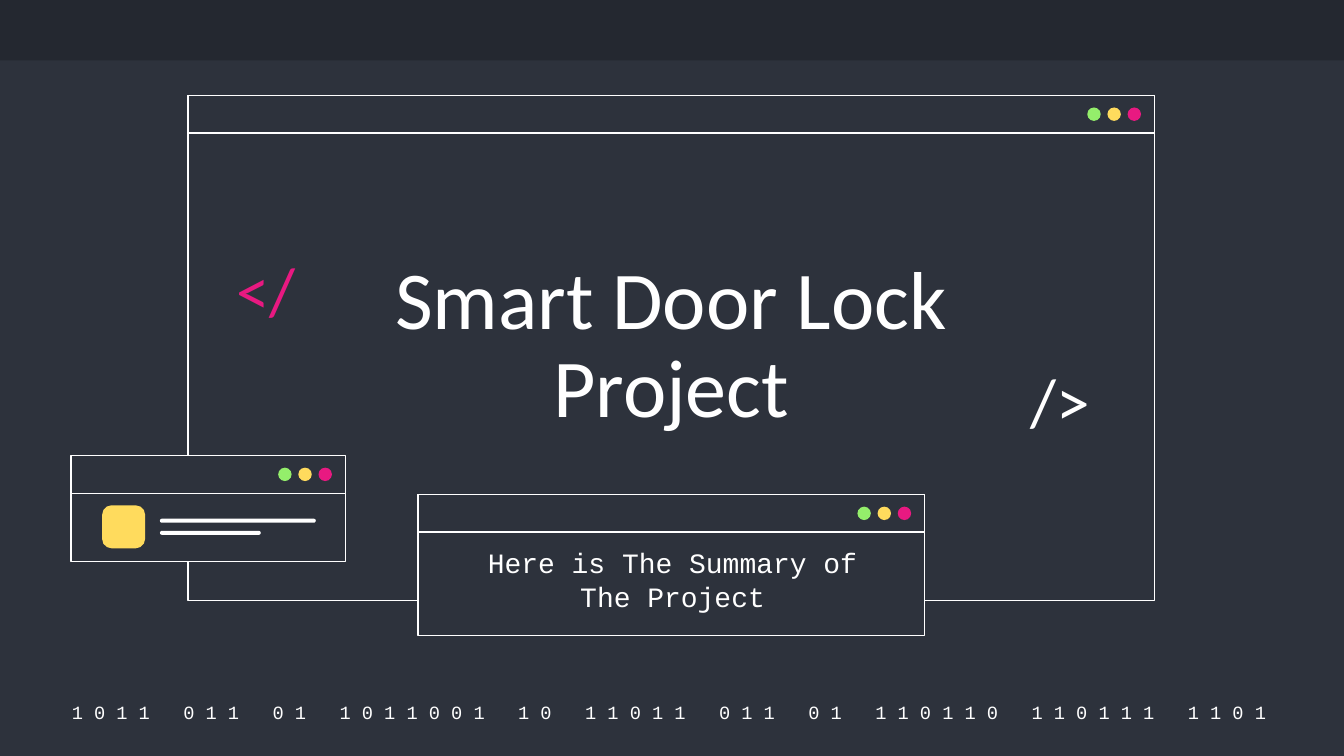
from pptx import Presentation
from pptx.dml.color import RGBColor
from pptx.enum.shapes import MSO_SHAPE
from pptx.enum.text import MSO_ANCHOR, MSO_AUTO_SIZE, PP_ALIGN
from pptx.util import Inches, Pt

RECTANGLE = MSO_SHAPE.RECTANGLE
ROUNDED = MSO_SHAPE.ROUNDED_RECTANGLE
OVAL = MSO_SHAPE.OVAL
TOP, MIDDLE, BOTTOM = MSO_ANCHOR.TOP, MSO_ANCHOR.MIDDLE, MSO_ANCHOR.BOTTOM
LEFT, CENTER = PP_ALIGN.LEFT, PP_ALIGN.CENTER
NO_FIT = MSO_AUTO_SIZE.NONE

SLATE, DARK, WHITE = "2D323C", "242830", "FFFFFF"
GREEN, YELLOW, PINK = "94EE6B", "FFDB5D", "E81981"
SANS, MONO = "Calibri", "Courier New"
BAR_HEIGHT = 0.28
BINARY_WORDS = ["1011", "011", "01", "1011001", "10", "11011",
                "011", "01", "110110", "110111", "1101"]


def color(code):
    return RGBColor.from_string(code)


def add_block(page, kind, box, fill, line=None):
    block = page.shapes.add_shape(kind, *map(Inches, box))
    block.shadow.inherit = False
    block.fill.solid()
    block.fill.fore_color.rgb = color(fill)
    if line:
        block.line.color.rgb = color(line)
        block.line.width = Pt(0.75)
    else:
        block.line.fill.background()
    return block


def format_text(shape, text, size, font, code=WHITE, align=CENTER,
                anchor=MIDDLE, spacing=1.0):
    frame = shape.text_frame
    frame.text = text
    frame.word_wrap = True
    frame.auto_size = NO_FIT
    frame.vertical_anchor = anchor
    frame.margin_left = frame.margin_right = Inches(0.1)
    frame.margin_top = frame.margin_bottom = Inches(0.1)
    para = frame.paragraphs[0]
    para.alignment = align
    para.line_spacing = spacing
    para.space_before = Pt(0)
    span = para.runs[0]
    span.font.size = Pt(size)
    span.font.name = font
    span.font.color.rgb = color(code)


def add_text(page, box, text, size, font, **style):
    shape = page.shapes.add_textbox(*map(Inches, box))
    format_text(shape, text, size, font, **style)


def add_window(page, box, body_top=0):
    """Draw a browser-like window whose body starts body_top below its top."""
    left, top, width, height = box
    body = (left, top + body_top, width, height - body_top)
    add_block(page, RECTANGLE, body, SLATE, WHITE)
    add_block(page, RECTANGLE, (left, top, width, BAR_HEIGHT), SLATE, WHITE)
    for index, code in enumerate((GREEN, YELLOW, PINK)):
        dot_left = left + width - 0.5 + 0.15 * index
        add_block(page, OVAL, (dot_left, top + 0.09, 0.1, 0.1), code)


def add_title_window(page, box):
    add_window(page, box)
    left, top = box[:2]
    add_text(page, (left + 0.26, top + 1.15, 0.77, 0.66), "</", 36, SANS,
             code=PINK, align=LEFT, spacing=0.9)
    add_text(page, (left + 6.17, top + 1.97, 0.77, 0.66), "/>", 36, SANS,
             align=LEFT, spacing=0.9)
    title = page.shapes.title
    title.left, title.top = Inches(left + 0.85), Inches(top + 0.93)
    title.width, title.height = Inches(5.49), Inches(1.7)
    format_text(title, "Smart Door Lock Project", 44, SANS,
                anchor=BOTTOM, spacing=0.9)
    # Bring the title in front of the window
    title.element.getparent().append(title.element)


def add_summary_window(page, box):
    add_window(page, box)
    left, top = box[:2]
    add_text(page, (left + 0.23, top + BAR_HEIGHT, 3.33, 0.78),
             "Here is The Summary of The Project", 15, MONO, anchor=TOP)


def add_message_window(page, box):
    add_window(page, box, body_top=BAR_HEIGHT)
    left, top = box[:2]
    icon = add_block(page, ROUNDED, (left + 0.23, top + 0.37, 0.32, 0.32), YELLOW)
    icon.adjustments[0] = 0.22
    for offset, width in ((0.47, 1.16), (0.56, 0.75)):
        stroke = add_block(page, ROUNDED, (left + 0.66, top + offset, width, 0.03), WHITE)
        stroke.adjustments[0] = 0.5


def add_background(page):
    page.background.fill.solid()
    page.background.fill.fore_color.rgb = color(SLATE)
    add_block(page, RECTANGLE, (0, 0, 10, 0.45), DARK)
    digits = "   ".join(" ".join(word) for word in BINARY_WORDS)
    add_text(page, (0.34, 5.2, 9.27, 0.2), digits, 10, MONO)


def main():
    deck = Presentation()
    deck.slide_width = Inches(10)
    deck.slide_height = deck.slide_width * 9 // 16
    page = deck.slides.add_slide(deck.slide_layouts.get_by_name("Title Only"))
    add_background(page)
    add_title_window(page, (1.4, 0.71, 7.19, 3.76))
    add_summary_window(page, (3.11, 3.68, 3.77, 1.05))
    add_message_window(page, (0.53, 3.39, 2.04, 0.79))
    deck.save("out.pptx")


if __name__ == "__main__":
    main()
